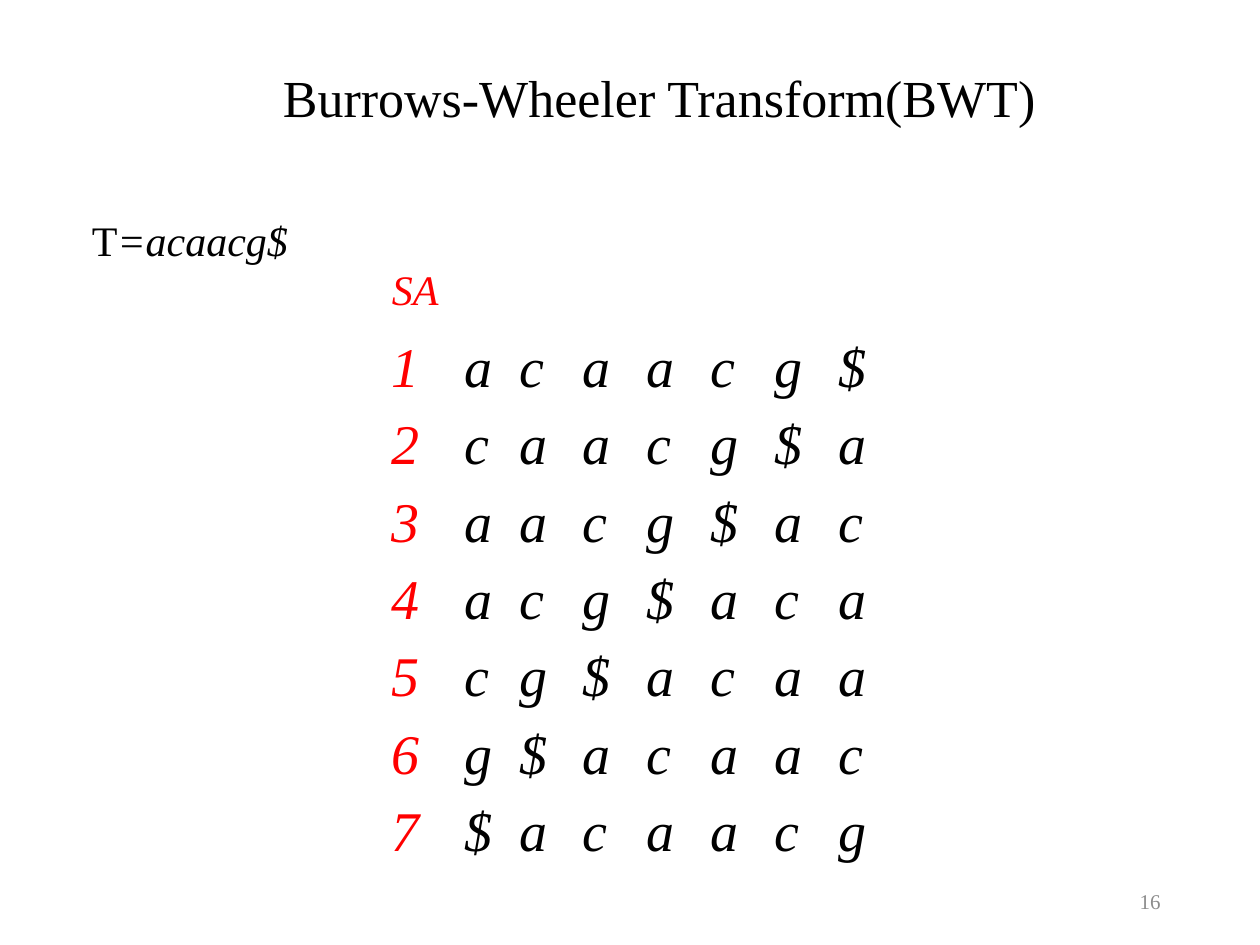
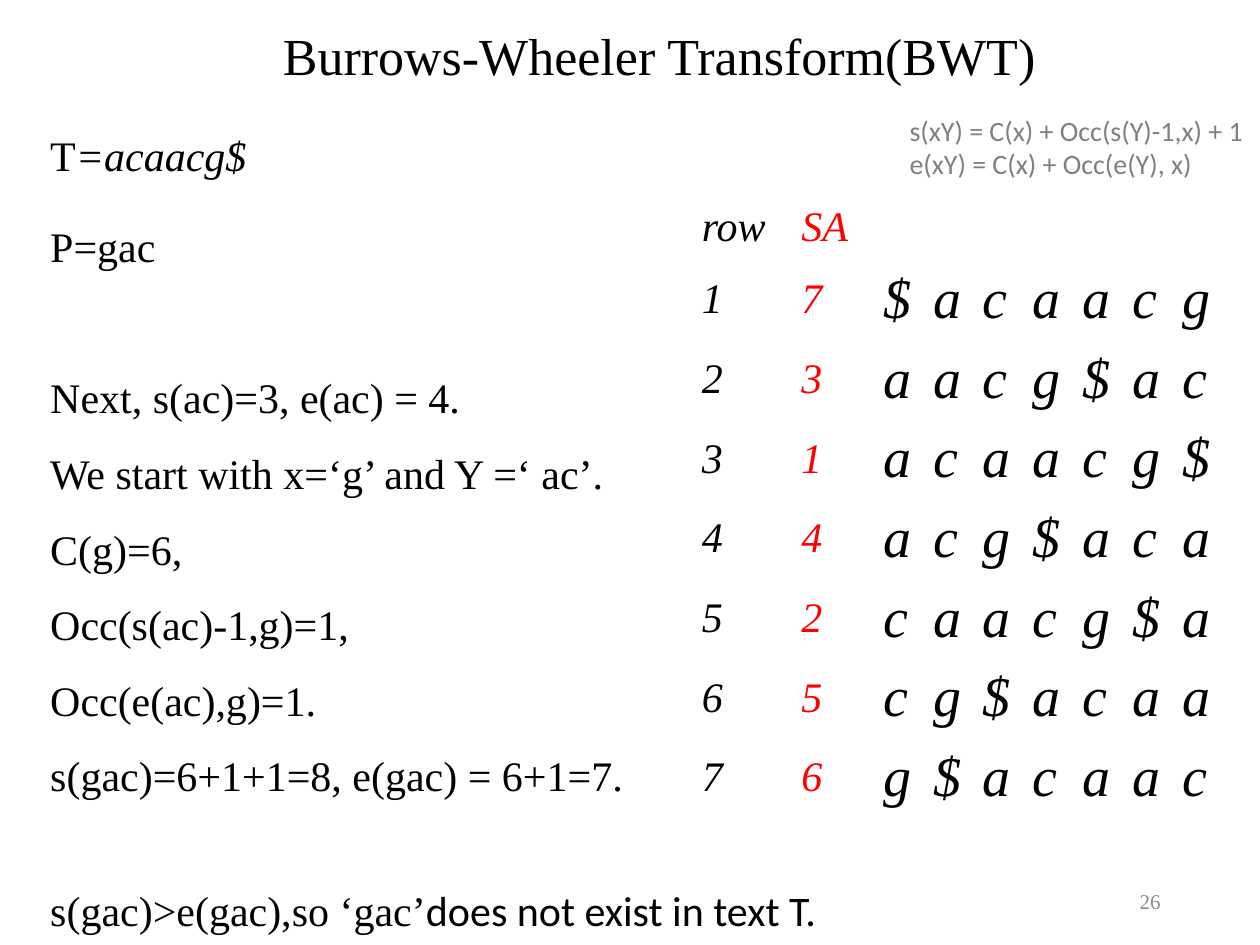
"""Build two slides on the Burrows-Wheeler Transform."""
from pptx import Presentation
from pptx.dml.color import RGBColor
from pptx.enum.text import MSO_ANCHOR, PP_ALIGN
from pptx.util import Inches, Pt

BLACK = RGBColor(0x00, 0x00, 0x00)
RED = RGBColor(0xFF, 0x00, 0x00)
GRAY = RGBColor(0x80, 0x80, 0x80)
NUMBER_GRAY = RGBColor(0x8C, 0x8C, 0x8C)
SERIF = "Times New Roman"
SANS = "Calibri"

TITLE = "Burrows-Wheeler Transform(BWT)"
TEXT = "acaacg$"
TEXT_LINE = [("T", {}), ("=" + TEXT, {"italic": True})]
FORMULAS = ["s(xY) = C(x) + Occ(s(Y)-1,x) + 1", "e(xY) = C(x) + Occ(e(Y), x)"]
SEARCH_STEPS = [
    (TEXT_LINE, 0.9, 0),
    ("P=gac", 0.9, 26.1),
    ("Next, s(ac)=3, e(ac) = 4.", 1.5, 43.2),
    ("We start with x=‘g’ and Y =‘ ac’.", 1.5, 0),
    ("C(g)=6,", 1.5, 0),
    ("Occ(s(ac)-1,g)=1,", 1.5, 0),
    ("Occ(e(ac),g)=1.", 1.5, 0),
    ("s(gac)=6+1+1=8, e(gac) = 6+1=7.", 1.5, 0),
    ([("s(gac)>e(gac),so ‘gac’", {}), ("does not exist in text T.", {"font": SANS})], 0.9, 51.5),
]

ROTATIONS = [(str(start + 1), TEXT[start:] + TEXT[:start]) for start in range(len(TEXT))]
SORTED_ROTATIONS = sorted(ROTATIONS, key=lambda rotation: rotation[1])


def write(paragraph, content, size=24, color=BLACK, font=SERIF, italic=False,
          align=PP_ALIGN.LEFT, spacing=1.0, before=0):
    """Fill a paragraph with a string or a list of (text, changes) spans."""
    paragraph.alignment = align
    paragraph.line_spacing = spacing
    paragraph.space_before = Pt(before)
    spans = [(content, {})] if isinstance(content, str) else content
    for text, changes in spans:
        span = paragraph.add_run()
        span.text = text
        span.font.size = Pt(size)
        span.font.color.rgb = color
        span.font.name = changes.get("font", font)
        span.font.italic = changes.get("italic", italic)


def add_text(page, area, entries, anchor=MSO_ANCHOR.TOP, wrap=True, inset_top=0.05, **style):
    """Add a text box; an entry is (content, line spacing, space before)."""
    box = page.shapes.add_textbox(*map(Inches, area))
    frame = box.text_frame
    frame.word_wrap = wrap
    frame.vertical_anchor = anchor
    frame.margin_top = Inches(inset_top)
    for index, (content, spacing, before) in enumerate(entries):
        paragraph = frame.add_paragraph() if index else frame.paragraphs[0]
        write(paragraph, content, spacing=spacing, before=before, **style)


def add_page(deck, number, title_top):
    """Add a blank page with the shared title and page number."""
    page = deck.slides.add_slide(deck.slide_layouts[6])
    add_text(page, (1.96, title_top, 6.55, 0.74), [(TITLE, 0.9, 0)],
             anchor=MSO_ANCHOR.BOTTOM, size=29.7, align=PP_ALIGN.CENTER)
    add_text(page, (7.06, 6.95, 2.25, 0.4), [(number, 1.0, 0)],
             anchor=MSO_ANCHOR.MIDDLE, size=12, color=NUMBER_GRAY, align=PP_ALIGN.RIGHT)
    return page


def add_matrix(page, area, rows, lead_widths, header_height, header_anchor, label_size):
    """Add a table of rotations; label columns come before the letters."""
    left, top, width, height = area
    column_count = len(rows[1])
    label_count = column_count - len(TEXT)
    table = page.shapes.add_table(len(rows), column_count, *map(Inches, area)).table
    table.first_row = table.horz_banding = False

    even_width = (width - sum(lead_widths)) / (column_count - len(lead_widths))
    even_height = (height - header_height) / (len(rows) - 1)
    for index, column in enumerate(table.columns):
        column.width = Inches(lead_widths[index] if index < len(lead_widths) else even_width)
    for index, row in enumerate(table.rows):
        row.height = Inches(even_height if index else header_height)

    for row_index, row in enumerate(rows):
        for column_index in range(column_count):
            cell = table.cell(row_index, column_index)
            cell.fill.background()
            cell.margin_top = cell.margin_bottom = Inches(0.04)
            cell.vertical_anchor = MSO_ANCHOR.MIDDLE if row_index else header_anchor
            if column_index < len(row):
                is_label = column_index < label_count
                size = (label_size if is_label else 32) if row_index else 24
                color = RED if column_index == label_count - 1 else BLACK
                write(cell.text_frame.paragraphs[0], row[column_index],
                      size=size, color=color, italic=True)
    table.cell(0, label_count - 1).merge(table.cell(0, column_count - 1))


def build_rotations(deck):
    """Show every rotation of the text in its starting order."""
    page = add_page(deck, "16", 0.33)
    add_text(page, (0.63, 1.45, 8.48, 5.63), [(TEXT_LINE, 1.0, 0)], inset_top=0.25)
    rows = [["SA"]] + [[start, *letters] for start, letters in ROTATIONS]
    add_matrix(page, (3.01, 2.01, 4.05, 4.77), rows, [0.58, 0.43],
               0.61, MSO_ANCHOR.MIDDLE, 32)


def build_search(deck):
    """Show the sorted rotations beside the search for a pattern."""
    page = add_page(deck, "26", 0)
    add_text(page, (0.3, 1.02, 9.48, 6.48), SEARCH_STEPS)
    rows = [["row", "SA"]] + [
        [str(rank), start, *letters]
        for rank, (start, letters) in enumerate(SORTED_ROTATIONS, 1)
    ]
    add_matrix(page, (5.47, 1.58, 4.21, 4.9), rows, [0.79, 0.65],
               0.47, MSO_ANCHOR.TOP, 24)
    add_text(page, (7.12, 0.85, 2.88, 0.98), [(formula, 1.0, 0) for formula in FORMULAS],
             wrap=False, size=16, color=GRAY, font=SANS)


def main():
    """Build and save the deck."""
    deck = Presentation()
    deck.slide_width = Inches(10)
    deck.slide_height = Inches(7.5)
    build_rotations(deck)
    build_search(deck)
    deck.save("out.pptx")


if __name__ == "__main__":
    main()
